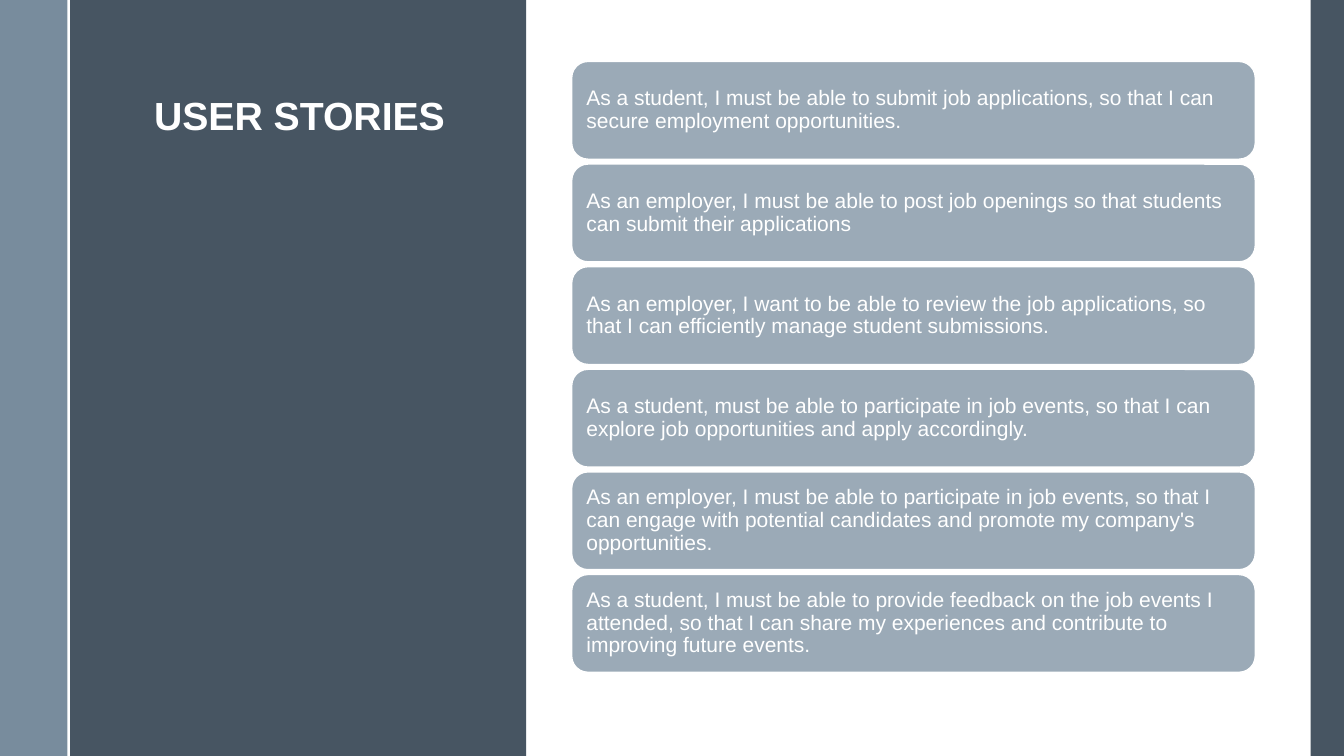
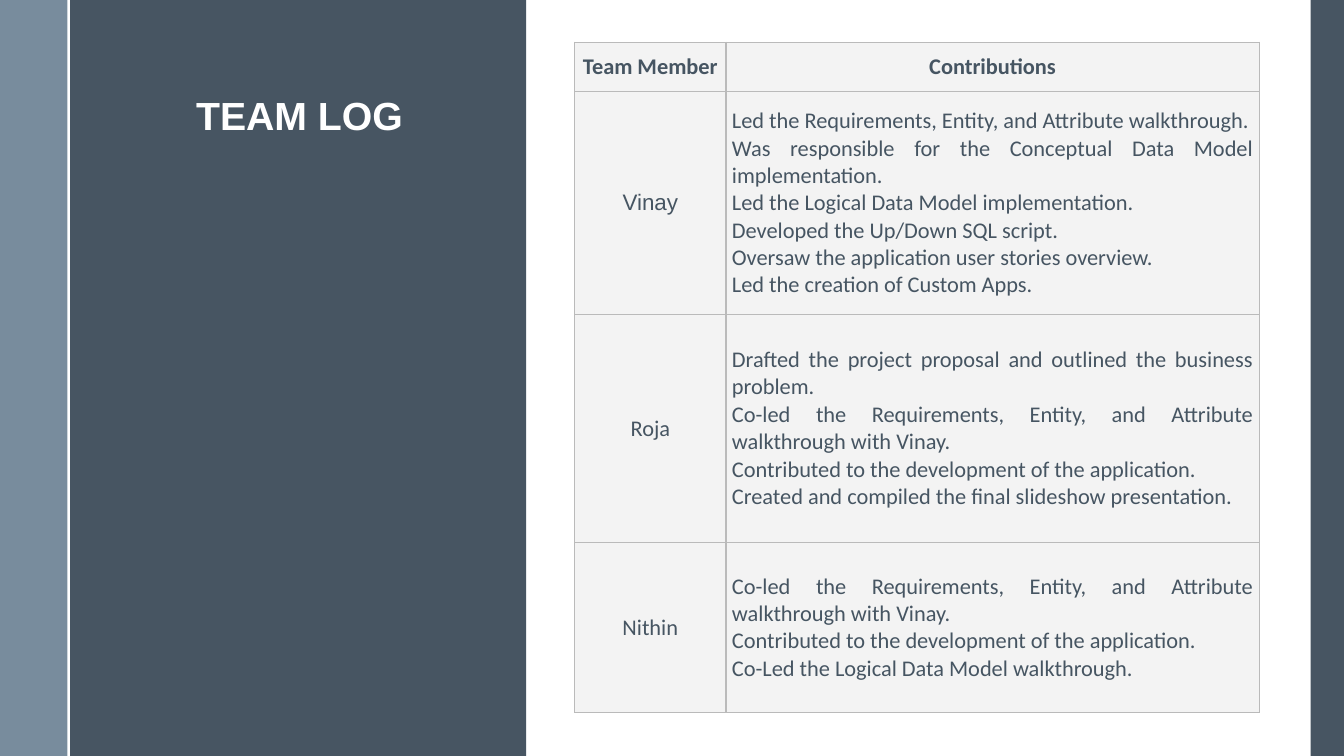
"""Build the user stories and team log slides."""
from lxml.etree import SubElement
from pptx import Presentation
from pptx.dml.color import RGBColor
from pptx.enum.shapes import MSO_CONNECTOR, MSO_SHAPE
from pptx.enum.text import MSO_ANCHOR, PP_ALIGN
from pptx.oxml.ns import qn
from pptx.util import Inches, Pt

WHITE, DARK, SIDE = "FFFFFF", "475562", "6A8093"
CARD, CELL, INK, BORDER = "9BAAB7", "F3F3F3", "465562", "BABABA"

BANDS = [(0.68, 4.54, DARK, 100), (0, 0.67, SIDE, 90), (13, 0.33, DARK, 100)]
DIVIDER_X = 0.68
TITLE_BOX = (1.17, 0.42, 3.6, 1.5)

STORIES = [
    "As a student, I must be able to submit job applications, so that I can secure employment opportunities.",
    "As an employer, I must be able to post job openings so that students can submit their applications",
    "As an employer, I want to be able to review the job applications, so that I can efficiently manage student submissions.",
    "As a student, must be able to participate in job events, so that I can explore job opportunities and apply accordingly.",
    "As an employer, I must be able to participate in job events, so that I can engage with potential candidates and promote my company's opportunities.",
    "As a student, I must be able to provide feedback on the job events I attended, so that I can share my experiences and contribute to improving future events.",
]
CARD_LEFT, CARD_W, CARD_H = 5.67, 6.78, 0.97
CARDS_TOP, CARDS_BOTTOM = 0.61, 6.67

HEADINGS = ("Team Member", "Contributions")
LOG = [
    ("Vinay", "Arial", [
        "Led the Requirements, Entity, and Attribute walkthrough.",
        "Was responsible for the Conceptual Data Model implementation.",
        "Led the Logical Data Model implementation.",
        "Developed the Up/Down SQL script.",
        "Oversaw the application user stories overview.",
        "Led the creation of Custom Apps.",
    ]),
    ("Roja", "Calibri", [
        "Drafted the project proposal and outlined the business problem.",
        "Co-led the Requirements, Entity, and Attribute walkthrough with Vinay.",
        "Contributed to the development of the application.",
        "Created and compiled the final slideshow presentation.",
    ]),
    ("Nithin", "Calibri", [
        "Co-led the Requirements, Entity, and Attribute walkthrough with Vinay.",
        "Contributed to the development of the application.",
        "Co-Led the Logical Data Model walkthrough.",
    ]),
]
TABLE_LEFT, TABLE_TOP = 5.7, 0.42
COL_WIDTHS = (1.5, 5.29)
ROW_HEIGHTS = (0.49, 2.21, 2.26, 1.69)


def rgb(value):
    return RGBColor.from_string(value)


def inches(*values):
    return [Inches(v) for v in values]


def paint(fill, color):
    fill.solid()
    fill.fore_color.rgb = rgb(color)


def write(tf, lines, size, font, color, align, bold=False, spacing=1.0):
    tf.text = "\n".join(lines)
    for p in tf.paragraphs:
        p.alignment = align
        p.line_spacing = spacing
        for r in p.runs:
            r.font.size, r.font.name, r.font.bold = Pt(size), font, bold
            r.font.color.rgb = rgb(color)


def add_block(s, kind, box, color):
    sp = s.shapes.add_shape(kind, *inches(*box))
    sp.shadow.inherit = False
    paint(sp.fill, color)
    sp.line.fill.background()
    return sp


def build_layout(prs, s):
    """Draw the shared bands and move them onto the layout of the slide."""
    parts = []
    for left, width, color, alpha in BANDS:
        sp = add_block(s, MSO_SHAPE.RECTANGLE, (left, 0, width, 7.5), color)
        if alpha < 100:
            clr = sp._element.spPr.find(qn("a:solidFill"))[0]
            SubElement(clr, qn("a:alpha"), val=str(alpha * 1000))
        parts.append(sp)
    line = s.shapes.add_connector(
        MSO_CONNECTOR.STRAIGHT, *inches(DIVIDER_X, 0, DIVIDER_X, 7.5))
    line.line.color.rgb, line.line.width = rgb(WHITE), Pt(1.5)
    SubElement(line._element.spPr, qn("a:effectLst"))
    parts.insert(2, line)
    tree = s.slide_layout.shapes._spTree
    for i, part in enumerate(parts):
        part._element.xpath(".//p:cNvPr")[0].set("id", str(100 + i))
        tree.insert(2 + i, part._element)


def add_title(s, text):
    title = s.shapes.title
    title.left, title.top, title.width, title.height = inches(*TITLE_BOX)
    tf = title.text_frame
    tf.vertical_anchor = MSO_ANCHOR.MIDDLE
    write(tf, [text], 28, "Arial", WHITE, PP_ALIGN.CENTER, True, 0.9)


def add_stories(s):
    pitch = (CARDS_BOTTOM - CARDS_TOP - CARD_H) / (len(STORIES) - 1)
    for i, story in enumerate(STORIES):
        box = (CARD_LEFT, CARDS_TOP + i * pitch, CARD_W, CARD_H)
        card = add_block(s, MSO_SHAPE.ROUNDED_RECTANGLE, box, CARD)
        card.line.color.rgb, card.line.width = rgb(WHITE), Pt(1)
        tf = card.text_frame
        tf.word_wrap = True
        tf.vertical_anchor = MSO_ANCHOR.MIDDLE
        tf.margin_left = tf.margin_right = Inches(0.1)
        write(tf, [story], 15, "Arial", WHITE, PP_ALIGN.LEFT, spacing=0.9)


def fill_cell(cell, lines, font="Calibri", align=PP_ALIGN.CENTER, bold=False):
    cell.vertical_anchor = MSO_ANCHOR.MIDDLE
    cell.margin_left = cell.margin_right = Inches(0.06)
    cell.margin_top = cell.margin_bottom = Inches(0.03)
    tc_pr = cell._tc.get_or_add_tcPr()
    for side in ("lnL", "lnR", "lnT", "lnB"):
        ln = SubElement(tc_pr, qn(f"a:{side}"), w=str(Pt(1)))
        SubElement(SubElement(ln, qn("a:solidFill")), qn("a:srgbClr"), val=BORDER)
    paint(cell.fill, CELL)
    write(cell.text_frame, lines, 16, font, INK, align, bold)


def add_log(s):
    box = (TABLE_LEFT, TABLE_TOP, sum(COL_WIDTHS), sum(ROW_HEIGHTS))
    table = s.shapes.add_table(
        len(ROW_HEIGHTS), len(COL_WIDTHS), *inches(*box)).table
    table.first_row = table.horz_banding = False
    for col, width in zip(table.columns, COL_WIDTHS):
        col.width = Inches(width)
    for row, height in zip(table.rows, ROW_HEIGHTS):
        row.height = Inches(height)
    for c, heading in enumerate(HEADINGS):
        fill_cell(table.cell(0, c), [heading], bold=True)
    for r, (member, font, tasks) in enumerate(LOG, 1):
        fill_cell(table.cell(r, 0), [member], font)
        fill_cell(table.cell(r, 1), tasks, align=PP_ALIGN.JUSTIFY)


def main():
    prs = Presentation()
    prs.slide_width, prs.slide_height = inches(13.33, 7.5)
    layout = prs.slide_layouts[5]
    slides = [("USER STORIES", add_stories), ("TEAM LOG", add_log)]
    for i, (title, add_content) in enumerate(slides):
        s = prs.slides.add_slide(layout)
        if i == 0:
            build_layout(prs, s)
        add_title(s, title)
        add_content(s)
    prs.save("out.pptx")


if __name__ == "__main__":
    main()
